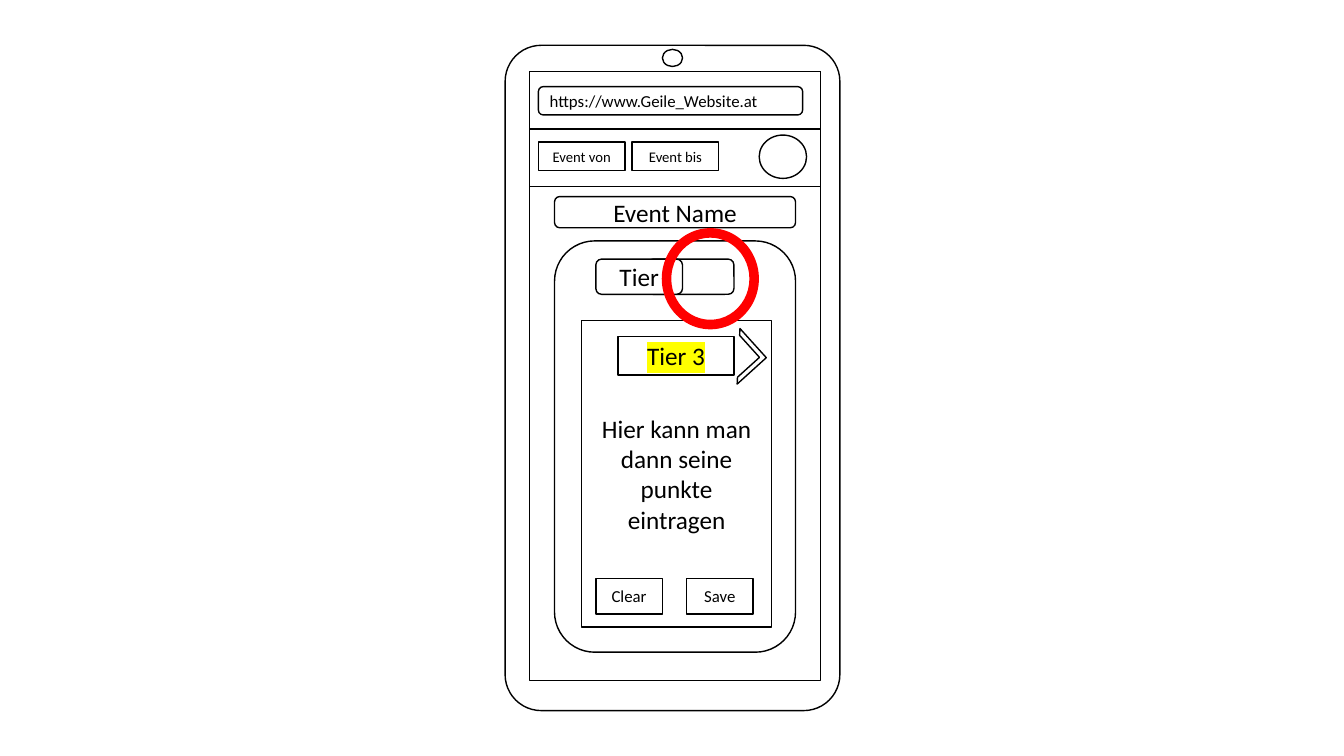
from dataclasses import dataclass
from typing import Optional

from lxml.etree import Element, SubElement
from pptx import Presentation
from pptx.dml.color import RGBColor
from pptx.enum.shapes import MSO_SHAPE as Kind
from pptx.enum.text import MSO_ANCHOR, PP_ALIGN
from pptx.oxml.ns import qn
from pptx.util import Inches, Pt


@dataclass(frozen=True)
class Theme:
    font: str = "Calibri"
    ink: str = "000000"
    paper: str = "FFFFFF"
    alert: str = "FF0000"
    marker: str = "FFFF00"
    line: float = 1
    large: float = 18
    normal: float = 12
    small: float = 10.5


THEME = Theme()


@dataclass(frozen=True)
class Part:
    kind: Kind
    left: float
    top: float
    width: float
    height: float
    text: str = ""
    size: float = THEME.large
    align: PP_ALIGN = PP_ALIGN.CENTER
    fill: Optional[str] = None
    line: str = THEME.ink
    adjust: tuple[float, ...] = ()
    angle: float = 0
    marker: Optional[str] = None


def write(shape, part: Part) -> None:
    frame = shape.text_frame
    frame.word_wrap = True
    frame.vertical_anchor = MSO_ANCHOR.MIDDLE
    para = frame.paragraphs[0]
    para.alignment = part.align
    run = para.add_run()
    run.text = part.text
    font = run.font
    font.size = Pt(part.size)
    font.color.rgb = RGBColor.from_string(THEME.ink)
    font.name = THEME.font
    if part.marker:
        # The highlight belongs right after the text fill
        glow = Element(qn("a:highlight"))
        SubElement(glow, qn("a:srgbClr"), val=part.marker)
        run._r.rPr.find(qn("a:solidFill")).addnext(glow)


def draw(slide, part: Part) -> None:
    box = (part.left, part.top, part.width, part.height)
    shape = slide.shapes.add_shape(part.kind, *map(Inches, box))
    shape.shadow.inherit = False
    shape.rotation = part.angle
    for index, value in enumerate(part.adjust):
        shape.adjustments[index] = value
    if part.fill:
        shape.fill.solid()
        shape.fill.fore_color.rgb = RGBColor.from_string(part.fill)
    else:
        shape.fill.background()
    shape.line.color.rgb = RGBColor.from_string(part.line)
    shape.line.width = Pt(THEME.line)
    if part.text:
        write(shape, part)


RECT, ROUND, OVAL = Kind.RECTANGLE, Kind.ROUNDED_RECTANGLE, Kind.OVAL
LEFT, WIDE, TOP, BAR = 5.25, 2.89, 0.71, 0.57

# Phone body, screen and camera
phone = [
    Part(ROUND, 5.01, 0.45, 3.32, 6.6, adjust=(0.108,)),
    Part(RECT, LEFT, TOP, WIDE, 6.04),
    Part(OVAL, 6.57, 0.49, 0.2, 0.17),
]

# Address bar and menu bar
bars = [Part(RECT, LEFT, TOP + row * BAR, WIDE, BAR) for row in range(2)]
header = [
    Part(ROUND, 5.34, 0.86, 2.62, 0.28, "https://www.Geile_Website.at",
         THEME.normal, PP_ALIGN.LEFT),
    Part(OVAL, 7.53, 1.34, 0.47, 0.43),
]
filters = [
    Part(RECT, 5.34 + col * 0.93, 1.41, 0.86, 0.28, label, THEME.small)
    for col, label in enumerate(("Event von", "Event bis"))
]

# Event panel with its tier picker
event = [
    Part(ROUND, 5.5, 2.39, 2.39, 4.08),
    Part(ROUND, 5.5, 1.95, 2.39, 0.31, "Event Name"),
    Part(ROUND, 6.42, 2.57, 0.86, 0.35),
    Part(ROUND, 5.91, 2.57, 0.86, 0.35, "Tier", fill=THEME.paper),
]

# Points dialog
dialog = [
    Part(RECT, 5.77, 3.18, 1.88, 3.04,
         "Hier kann man dann seine punkte eintragen", fill=THEME.paper),
    Part(RECT, 6.13, 3.34, 1.15, 0.38, "Tier 3", fill=THEME.paper,
         marker=THEME.marker),
]
buttons = [
    Part(RECT, 5.91 + col * 0.9, 5.74, 0.66, 0.35, label, THEME.normal,
         fill=THEME.paper)
    for col, label in enumerate(("Clear", "Save"))
]

# Next arrow and red ring
marks = [
    Part(Kind.HALF_FRAME, 7.13, 3.34, 0.39, 0.39, fill=THEME.paper,
         adjust=(0.124, 0.124), angle=137.9),
    Part(Kind.DONUT, 6.57, 2.27, 0.95, 0.99, fill=THEME.alert,
         line=THEME.alert, adjust=(0.085,)),
]


def main() -> None:
    deck = Presentation()
    deck.slide_width, deck.slide_height = Inches(13.33), Inches(7.5)
    slide = deck.slides.add_slide(deck.slide_layouts[6])
    for group in (phone, bars, header, filters, event, dialog, buttons, marks):
        for part in group:
            draw(slide, part)
    deck.save("out.pptx")


if __name__ == "__main__":
    main()
